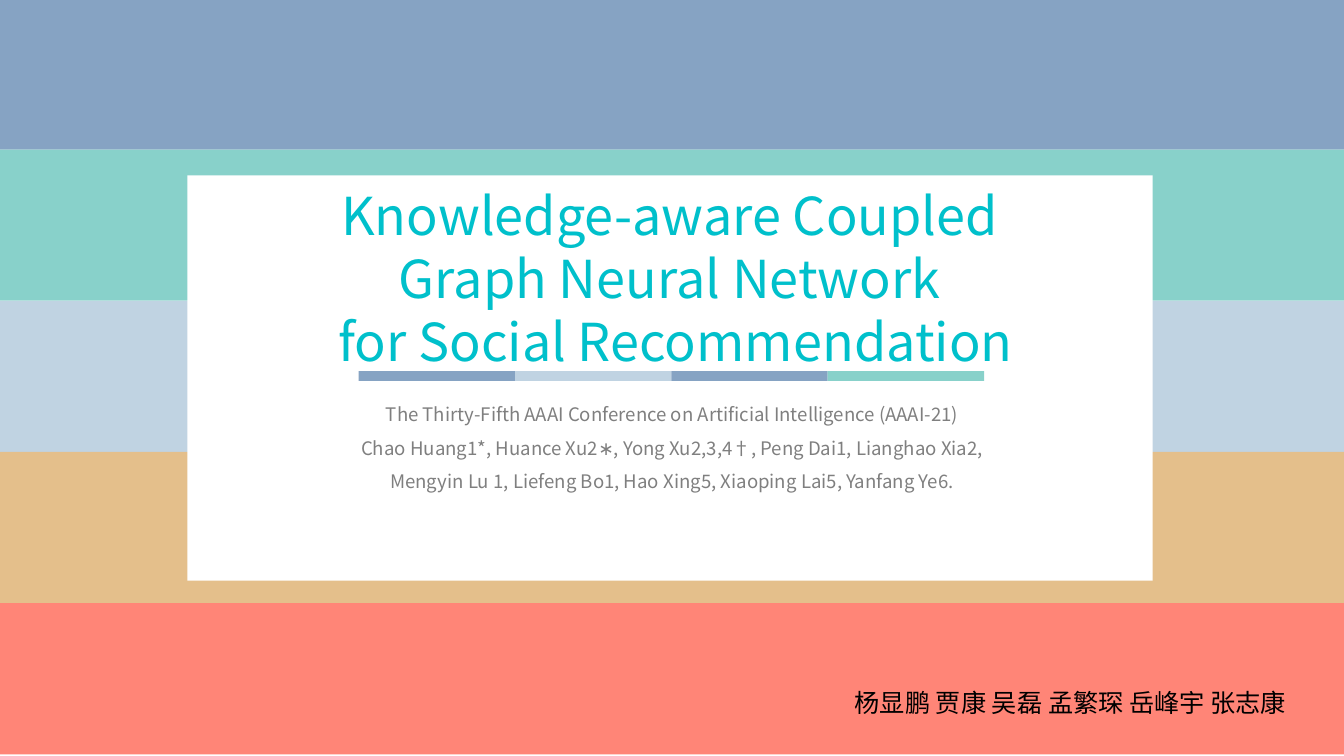
from pptx import Presentation
from pptx.dml.color import RGBColor
from pptx.enum.shapes import MSO_SHAPE
from pptx.enum.text import MSO_AUTO_SIZE, PP_ALIGN
from pptx.oxml.ns import qn
from pptx.util import Cm, Pt

BLUE = RGBColor(0x86, 0xA3, 0xC3)
TEAL = RGBColor(0x88, 0xD1, 0xCA)
PALE = RGBColor(0xC0, 0xD3, 0xE2)
SAND = RGBColor(0xE4, 0xBF, 0x8B)
CORAL = RGBColor(0xFF, 0x85, 0x77)
WHITE = RGBColor(0xFF, 0xFF, 0xFF)
CYAN = RGBColor(0x00, 0xC0, 0xCB)
GRAY = RGBColor(0x7F, 0x7F, 0x7F)
BLACK = RGBColor(0x00, 0x00, 0x00)
FONT = "Noto Sans CJK SC"
SLIDE_W, SLIDE_H = 33.87, 19.05

prs = Presentation()
prs.slide_width, prs.slide_height = Cm(SLIDE_W), Cm(SLIDE_H)
s = prs.slides.add_slide(prs.slide_layouts[6])


def add_bar(left, top, width, height, color):
    sp = s.shapes.add_shape(MSO_SHAPE.RECTANGLE, Cm(left), Cm(top), Cm(width), Cm(height))
    sp.shadow.inherit = False
    sp.fill.solid()
    sp.fill.fore_color.rgb = color
    sp.line.fill.background()


def add_text(box, lines, size, color, paragraph_format):
    """Add a text box with one paragraph per line; box is left, top, width, height in cm."""
    tf = s.shapes.add_textbox(*[Cm(v) for v in box]).text_frame
    tf.word_wrap = True
    tf.auto_size = MSO_AUTO_SIZE.SHAPE_TO_FIT_TEXT
    for i, line in enumerate(lines):
        p = tf.add_paragraph() if i else tf.paragraphs[0]
        for name, value in paragraph_format.items():
            setattr(p, name, value)
        r = p.add_run()
        r.text = line
        for name, value in {"name": FONT, "size": Pt(size)}.items():
            setattr(r.font, name, value)
        r.font.color.rgb = color
        ea = r.font._element.makeelement(qn("a:ea"), {"typeface": FONT})
        r.font._element.append(ea)


# Background stripes
STRIPE_H = 3.81
for i, color in enumerate([BLUE, TEAL, PALE, SAND, CORAL]):
    add_bar(0, -0.04 + i * STRIPE_H, SLIDE_W, STRIPE_H, color)

# Title card and its divider
add_bar(4.72, 4.42, 24.33, 10.21, WHITE)
SEGMENT_W = 3.94
for i, color in enumerate([BLUE, PALE, BLUE, TEAL]):
    add_bar(9.04 + i * SEGMENT_W, 9.35, SEGMENT_W, 0.25, color)

add_text((5.97, 4.5, 21.82, 6.63),
         ["Knowledge-aware Coupled",
          "Graph Neural Network",
          " for Social Recommendation"],
         37.3, CYAN, {"alignment": PP_ALIGN.CENTER})

add_text((7.52, 9.75, 18.85, 2.74),
         ["The Thirty-Fifth AAAI Conference on Artificial Intelligence (AAAI-21)",
          "Chao Huang1*, Huance Xu2∗, Yong Xu2,3,4†, Peng Dai1, Lianghao Xia2,",
          "Mengyin Lu 1, Liefeng Bo1, Hao Xing5, Xiaoping Lai5, Yanfang Ye6."],
         13.3, GRAY, {"alignment": PP_ALIGN.CENTER, "line_spacing": 1.5})

# Presenters
add_text((21.29, 17.2, 12.5, 1.02),
         ["杨显鹏 贾康 吴磊 孟繁琛 岳峰宇 张志康"],
         18, BLACK, {"alignment": PP_ALIGN.LEFT})

prs.save("out.pptx")
